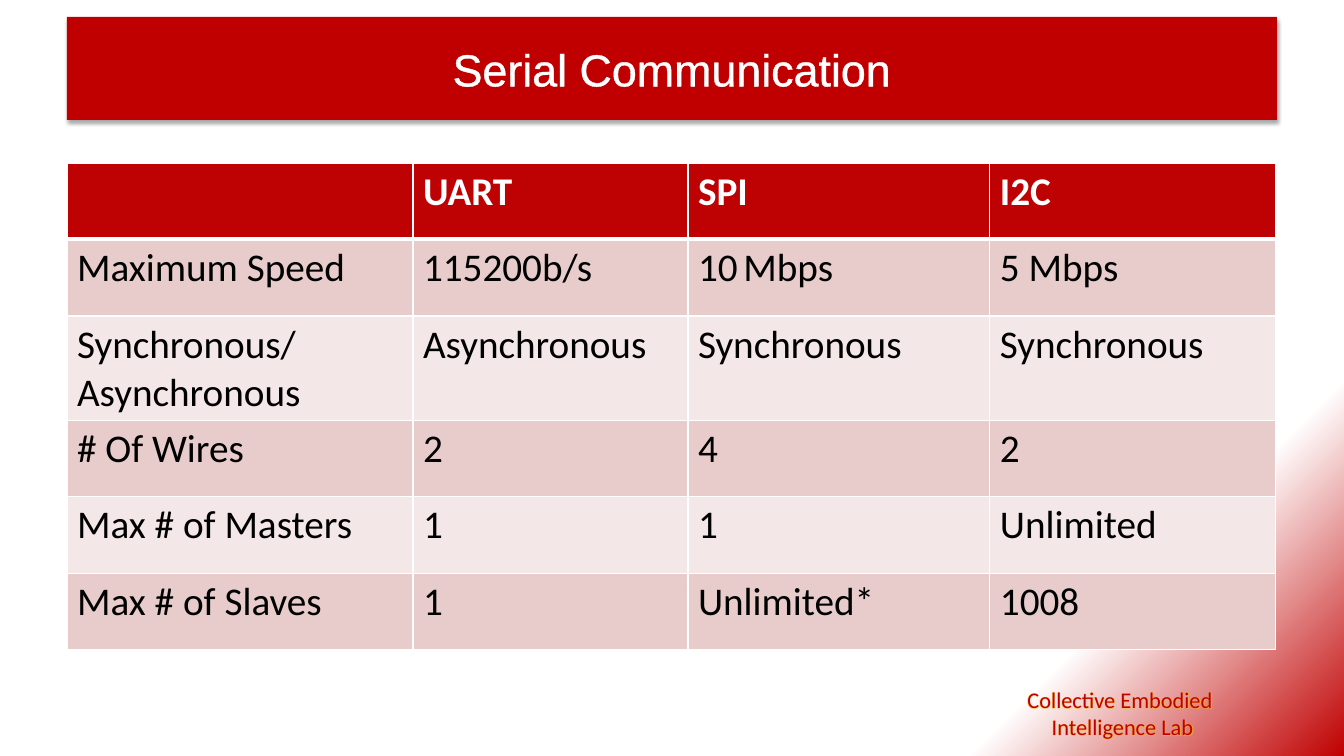
import dataclasses

import pptx
import pptx.dml.color
import pptx.enum.text
import pptx.oxml
import pptx.util

NAMESPACES = (
    'xmlns:a="http://schemas.openxmlformats.org/drawingml/2006/main" '
    'xmlns:p="http://schemas.openxmlformats.org/presentationml/2006/main"'
)
EMU_PER_PX = 914400 / 100.8
EMU_PER_POINT = 12700
CENTER = pptx.enum.text.PP_ALIGN.CENTER
LEFT = pptx.enum.text.PP_ALIGN.LEFT

COLUMN_WIDTHS = [346, 275, 302, 286]
ROW_HEIGHTS = [76, 77, 76, 76, 77, 76]
# Each cell is a list of paragraphs, each paragraph a tuple of spans.
PROTOCOLS = [
    [[], [("UART",)], [("SPI",)], [("I2C",)]],
    [[("Maximum Speed",)], [("115200b/s",)], [("10", " ", "Mbps")], [("5 Mbps",)]],
    [[("Synchronous/",), ("Asynchronous",)], [("Asynchronous",)],
     [("Synchronous",)], [("Synchronous",)]],
    [[("# Of Wires",)], [("2",)], [("4",)], [("2",)]],
    [[("Max # of Masters",)], [("1",)], [("1",)], [("Unlimited",)]],
    [[("Max # of Slaves",)], [("1",)], [("Unlimited*",)], [("1008",)]],
]


@dataclasses.dataclass(frozen=True)
class Theme:
    red: str = "C00000"
    header_red: str = "BE0204"
    dark_band: str = "E8CCCC"
    light_band: str = "F4E7E7"
    white: str = "FFFFFF"
    black: str = "000000"
    gold: str = "FFC000"
    title_font: str = "Arial"
    body_font: str = "Calibri"
    title_size: int = 32
    table_size: int = 28
    gap_size: int = 18
    lab_size: int = 16


def px(length):
    return pptx.util.Emu(round(length * EMU_PER_PX))


def rgb(value):
    return pptx.dml.color.RGBColor.from_string(value)


def element(markup):
    """Parse one element, declaring the drawing namespaces on its first tag."""
    tag, rest = markup.split(" ", 1)
    return pptx.oxml.parse_xml(f"{tag} {NAMESPACES} {rest}")


def line_element(name, color, points):
    return element(
        f'<a:{name} w="{round(points * EMU_PER_POINT)}"><a:solidFill>'
        f'<a:srgbClr val="{color}"/></a:solidFill></a:{name}>'
    )


class SlideBuilder:
    def __init__(self, page, theme):
        self.page = page
        self.theme = theme

    def fill_text(self, frame, paragraphs, font_name, size, color, bold=False, align=LEFT):
        """Fill a text frame and return its spans."""
        spans = []
        for index, texts in enumerate(paragraphs):
            para = frame.paragraphs[0] if index == 0 else frame.add_paragraph()
            para.alignment = align
            for text in texts:
                span = para.add_run()
                span.text = text
                points = self.theme.gap_size if text == " " else size
                style = {"name": font_name, "size": pptx.util.Pt(points), "bold": bold}
                for key, value in style.items():
                    setattr(span.font, key, value)
                span.font.color.rgb = rgb(color)
                spans.append(span)
        return spans

    def outline(self, spans, color, points):
        for span in spans:
            span.font._element.insert(0, line_element("ln", color, points))

    def background(self):
        theme = self.theme
        self.page._element.cSld.insert(0, element(
            '<p:bg ><p:bgPr><a:gradFill rotWithShape="1"><a:gsLst>'
            f'<a:gs pos="82000"><a:srgbClr val="{theme.white}"/></a:gs>'
            f'<a:gs pos="100000"><a:srgbClr val="{theme.red}"/></a:gs></a:gsLst>'
            '<a:path path="circle"><a:fillToRect r="100000" b="100000"/></a:path>'
            '</a:gradFill><a:effectLst/></p:bgPr></p:bg>'
        ))

    def title(self, text, left, top, width, height):
        theme = self.theme
        box = self.page.shapes.title
        place = {"left": left, "top": top, "width": width, "height": height}
        for key, value in place.items():
            setattr(box, key, px(value))
        box.fill.solid()
        box.fill.fore_color.rgb = rgb(theme.red)
        box._element.spPr.append(element(
            '<a:effectLst ><a:outerShdw blurRad="39370" dist="22860" dir="5400000" '
            f'rotWithShape="0"><a:srgbClr val="{theme.black}"><a:alpha val="35000"/>'
            '</a:srgbClr></a:outerShdw></a:effectLst>'
        ))
        box.text_frame.vertical_anchor = pptx.enum.text.MSO_ANCHOR.MIDDLE
        spans = self.fill_text(box.text_frame, [(text,)], theme.title_font,
                               theme.title_size, theme.white, align=CENTER)
        self.outline(spans, theme.white, 1.45)

    def lab_name(self, lines, left, top, width, height):
        theme = self.theme
        box = self.page.shapes.add_textbox(px(left), px(top), px(width), px(height))
        box.text_frame.word_wrap = True
        box.text_frame.auto_size = pptx.enum.text.MSO_AUTO_SIZE.SHAPE_TO_FIT_TEXT
        spans = self.fill_text(box.text_frame, [(line,) for line in lines], theme.body_font,
                               theme.lab_size, theme.red, align=CENTER)
        self.outline(spans, theme.red, 1.4)
        for span in spans:
            # The effect list follows the outline and the fill.
            span.font._element.insert(2, element(
                f'<a:effectLst ><a:glow rad="19050"><a:srgbClr val="{theme.gold}">'
                '<a:alpha val="60000"/></a:srgbClr></a:glow></a:effectLst>'
            ))

    def table(self, rows, left, top, widths, heights):
        grid = self.page.shapes.add_table(
            len(rows), len(widths), px(left), px(top), px(sum(widths)), px(sum(heights))
        ).table
        for column, width in zip(grid.columns, widths):
            column.width = px(width)
        for index, (row, height) in enumerate(zip(grid.rows, heights)):
            row.height = px(height)
            for cell, paragraphs in zip(row.cells, rows[index]):
                self.cell(cell, paragraphs, index)

    def cell(self, cell, paragraphs, row):
        theme = self.theme
        header = row == 0
        band = theme.dark_band if row % 2 else theme.light_band
        cell.fill.solid()
        cell.fill.fore_color.rgb = rgb(theme.header_red if header else band)
        self.fill_text(cell.text_frame, paragraphs, theme.body_font, theme.table_size,
                       theme.white if header else theme.black, bold=header)
        borders = {"lnL": 1, "lnR": 1, "lnT": 3 if row == 1 else 1, "lnB": 3 if header else 1}
        properties = cell._tc.get_or_add_tcPr()
        for position, (side, points) in enumerate(borders.items()):
            properties.insert(position, line_element(side, theme.white, points))


def main():
    deck = pptx.Presentation()
    deck.slide_width, deck.slide_height = px(1344), px(756)
    page = deck.slides.add_slide(deck.slide_layouts.get_by_name("Title Only"))
    builder = SlideBuilder(page, Theme())
    builder.background()
    builder.lab_name(["Collective Embodied ", "Intelligence Lab"], 891, 681, 463, 65)
    builder.title("Serial Communication", 67, 17, 1210, 103)
    builder.table(PROTOCOLS, 67, 163, COLUMN_WIDTHS, ROW_HEIGHTS)
    deck.save("out.pptx")


if __name__ == "__main__":
    main()
